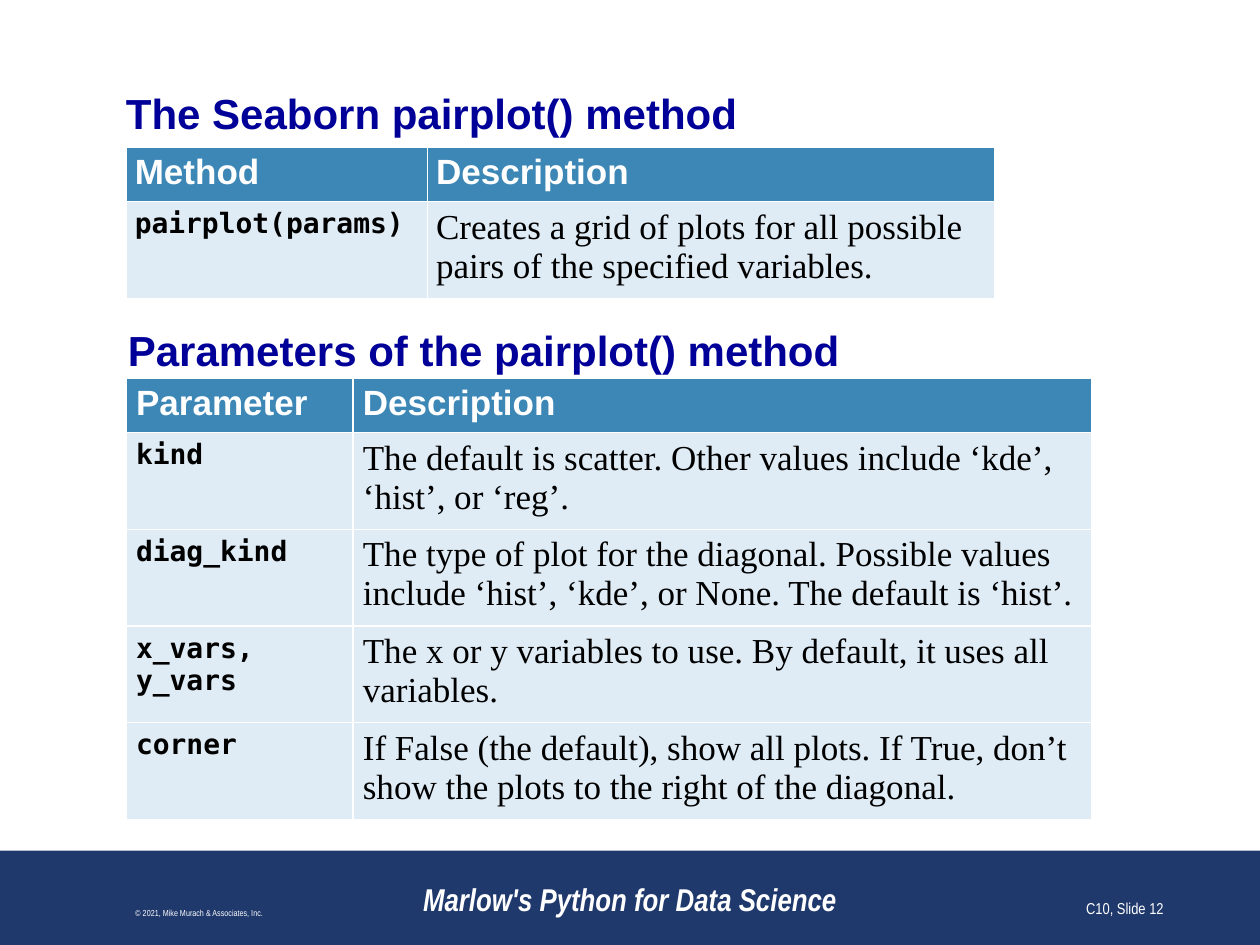
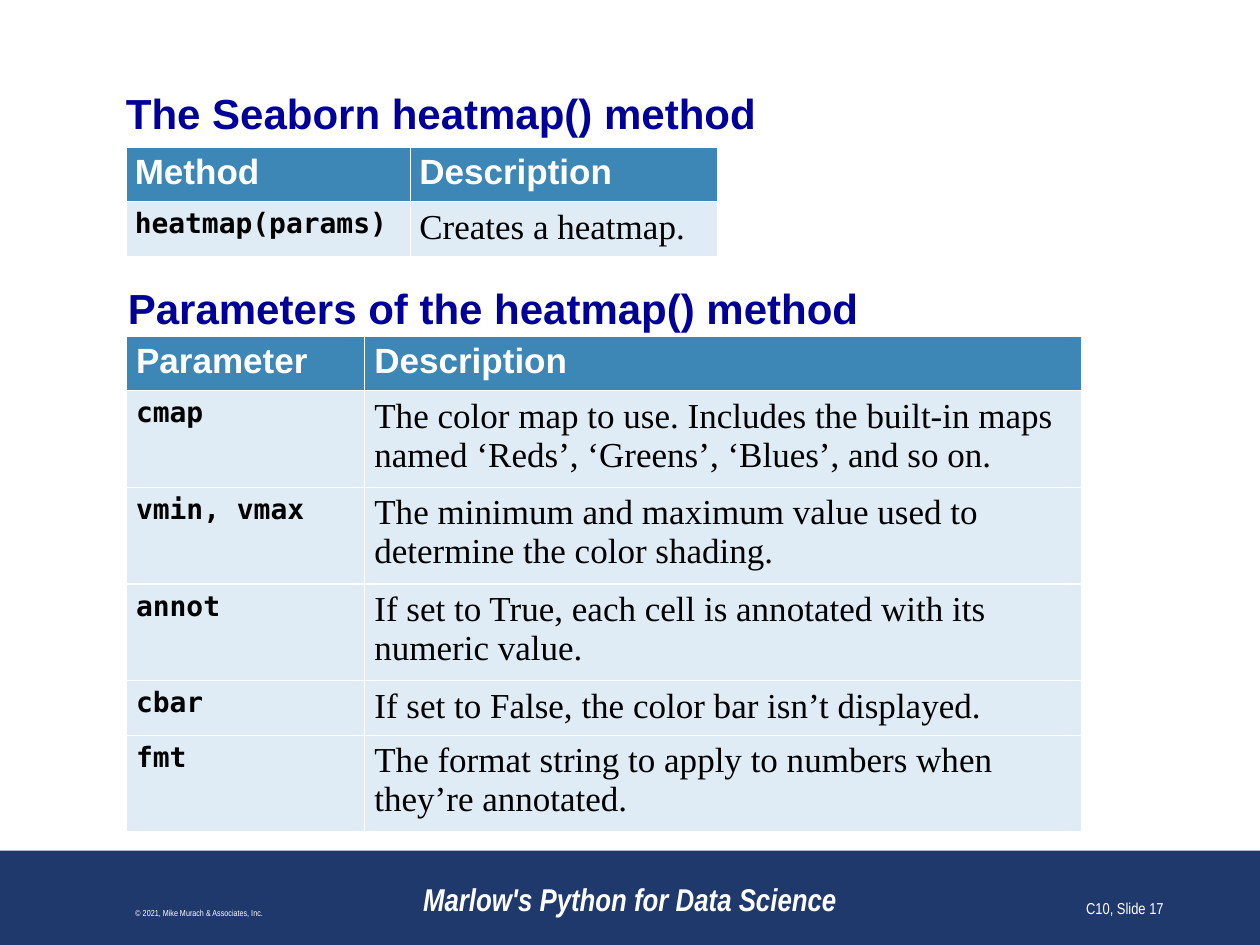
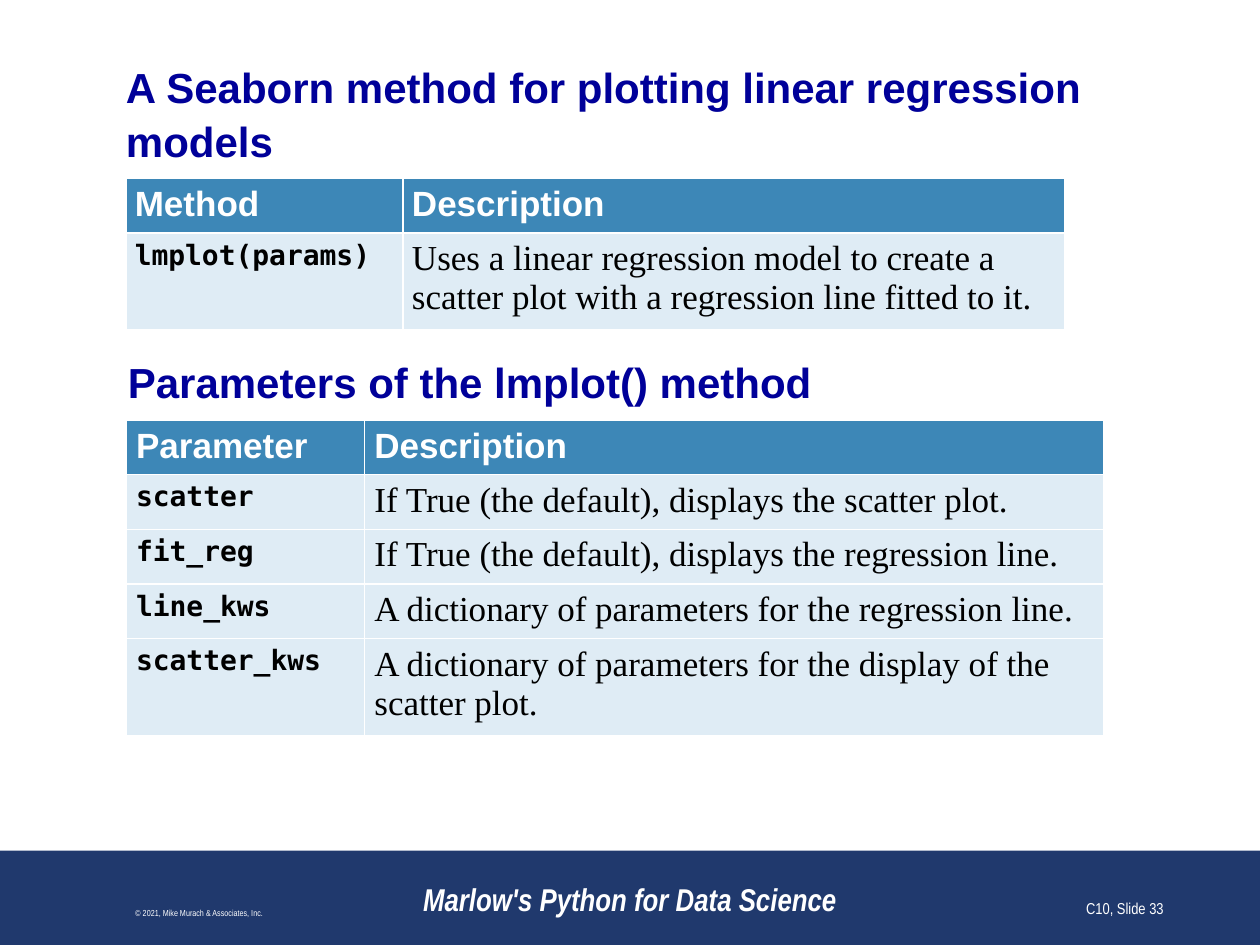
import pptx
import pptx.dml.color
import pptx.enum.shapes
import pptx.enum.text
import pptx.util

COLUMNS, ROWS = 120, 90
NAVY, HEADING, HEADER_FILL, BODY_FILL = "20396D", "000099", "3D87B7", "DFECF5"
WHITE, BLACK = "FFFFFF", "000000"
ALIGN = pptx.enum.text.PP_ALIGN
ANCHOR = pptx.enum.text.MSO_ANCHOR

deck = pptx.Presentation()
deck.slide_width = pptx.util.Inches(10)
deck.slide_height = pptx.util.Inches(7.5)


def color(value):
    return pptx.dml.color.RGBColor.from_string(value)


def across(columns):
    return round(deck.slide_width * columns / COLUMNS)


def down(rows):
    return round(deck.slide_height * rows / ROWS)


def place(box):
    left, top, width, height = box
    return across(left), down(top), across(width), down(height)


def write(frame, text, font="Arial", size=24, fill=HEADING, bold=False,
          italic=False, align=ALIGN.LEFT, spacing=None):
    frame.word_wrap = True
    para = frame.paragraphs[0]
    para.alignment = align
    para.line_spacing = spacing
    span = para.add_run()
    span.text = text
    span.font.name = font
    span.font.size = pptx.util.Pt(size)
    span.font.bold = bold
    span.font.italic = italic
    span.font.color.rgb = color(fill)


def add_text(page, box, text, anchor=ANCHOR.TOP, inset=True, **style):
    frame = page.shapes.add_textbox(*place(box)).text_frame
    frame.vertical_anchor = anchor
    if not inset:
        frame.margin_left = frame.margin_right = 0
        frame.margin_top = frame.margin_bottom = 0
    write(frame, text, **style)


def add_heading(page, box, text, **layout):
    add_text(page, box, text, bold=True, spacing=1.07, **layout)


def add_footer(page, box, number):
    band = page.shapes.add_shape(
        pptx.enum.shapes.MSO_SHAPE.RECTANGLE, *place(box))
    band.shadow.inherit = False
    band.fill.solid()
    band.fill.fore_color.rgb = color(NAVY)
    band.line.fill.background()
    left, top = box[:2]
    notes = [
        (36, 48, "Marlow's Python for Data Science",
         dict(size=18, bold=True, italic=True, align=ALIGN.CENTER)),
        (1, 36, "© 2021, Mike Murach & Associates, Inc.",
         dict(size=5, align=ALIGN.CENTER)),
        (87, 25, f"C10, Slide {number}", dict(size=9, align=ALIGN.RIGHT)),
    ]
    for offset, width, text, style in notes:
        add_text(page, (left + offset, top + 1, width, 6), text,
                 anchor=ANCHOR.BOTTOM, font="Arial Narrow", fill=WHITE, **style)


def add_reference(page, left, top, widths, label, entries, inset):
    lines = [(label, "Description"), *entries]
    row_height = 4.92
    box = (left, top, sum(widths), row_height * len(lines))
    table = page.shapes.add_table(len(lines), len(widths), *place(box)).table
    for column, width in zip(table.columns, widths):
        column.width = across(width)
    header = dict(size=20, fill=WHITE, bold=True)
    code = dict(font="DejaVu Sans Mono", size=16, fill=BLACK, bold=True)
    prose = dict(font="Times New Roman", size=20, fill=BLACK)
    for row, line in enumerate(lines):
        styles = (code, prose) if row else (header, header)
        for column, (text, style) in enumerate(zip(line, styles)):
            cell = table.cell(row, column)
            cell.fill.solid()
            cell.fill.fore_color.rgb = color(BODY_FILL if row else HEADER_FILL)
            cell.margin_left = cell.margin_right = pptx.util.Inches(inset)
            cell.margin_top = cell.margin_bottom = pptx.util.Inches(0.05)
            write(cell.text_frame, text, **style)


def add_method_page(number, title, title_rows, method, method_top,
                    method_widths, heading, heading_top, parameters,
                    parameter_top, parameter_widths):
    page = deck.slides.add_slide(deck.slide_layouts[6])
    margin = 12
    add_footer(page, (0, 81, COLUMNS, 9), number)
    title_top, title_height = title_rows
    add_heading(page, (margin, title_top, 96, title_height), title,
                anchor=ANCHOR.MIDDLE, inset=False)
    add_reference(page, margin, method_top, method_widths,
                  "Method", [method], 0.07)
    add_heading(page, (margin - 1, heading_top, 97, 6), heading)
    add_reference(page, margin, parameter_top, parameter_widths,
                  "Parameter", parameters, 0.08)


def main():
    add_method_page(
        12, "The Seaborn pairplot() method", (8.2, 4.8),
        ("pairplot(params)", "Creates a grid of plots for all possible pairs "
         "of the specified variables."), 14, (28.7, 54),
        "Parameters of the pairplot() method", 30,
        [("kind", "The default is scatter. Other values include ‘kde’, "
          "‘hist’, or ‘reg’."),
         ("diag_kind", "The type of plot for the diagonal. Possible values "
          "include ‘hist’, ‘kde’, or None. The default is ‘hist’."),
         ("x_vars, y_vars", "The x or y variables to use. By default, it "
          "uses all variables."),
         ("corner", "If False (the default), show all plots. If True, don’t "
          "show the plots to the right of the diagonal.")],
        36, (21.6, 70.4))
    add_method_page(
        17, "The Seaborn heatmap() method", (8.2, 4.8),
        ("heatmap(params)", "Creates a heatmap."), 14, (27.1, 29.3),
        "Parameters of the heatmap() method", 26,
        [("cmap", "The color map to use. Includes the built-in maps named "
          "‘Reds’, ‘Greens’, ‘Blues’, and so on."),
         ("vmin, vmax", "The minimum and maximum value used to determine "
          "the color shading."),
         ("annot", "If set to True, each cell is annotated with its numeric "
          "value."),
         ("cbar", "If set to False, the color bar isn’t displayed."),
         ("fmt", "The format string to apply to numbers when they’re "
          "annotated.")],
        32, (22.7, 68.3))
    add_method_page(
        33, "A Seaborn method for plotting linear regression models",
        (5.8, 9.7),
        ("lmplot(params)", "Uses a linear regression model to create a "
         "scatter plot with a regression line fitted to it."), 17, (26.4, 63),
        "Parameters of the lmplot() method", 33,
        [("scatter", "If True (the default), displays the scatter plot."),
         ("fit_reg", "If True (the default), displays the regression line."),
         ("line_kws", "A dictionary of parameters for the regression line."),
         ("scatter_kws", "A dictionary of parameters for the display of the "
          "scatter plot.")],
        40, (22.7, 70.4))
    deck.save("out.pptx")


if __name__ == "__main__":
    main()
